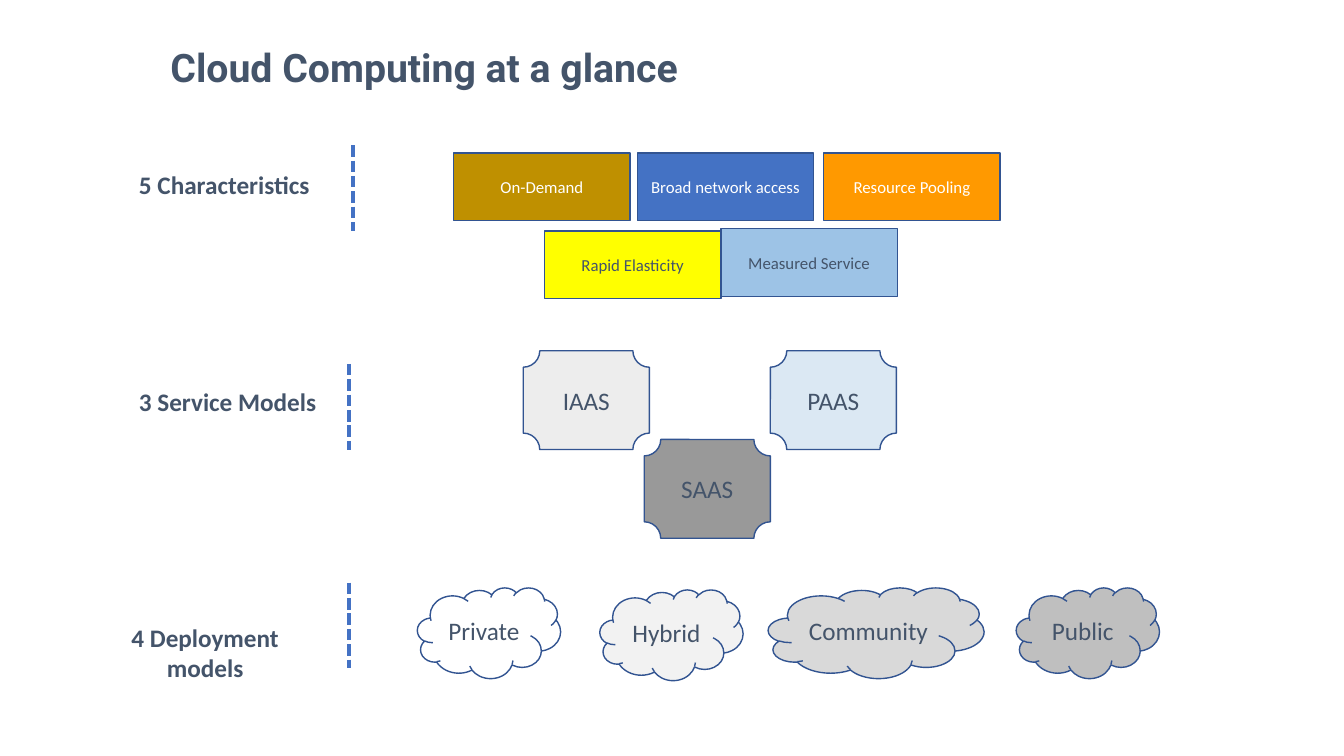
from lxml import etree
from pptx import Presentation
from pptx.dml.color import RGBColor
from pptx.enum.dml import MSO_LINE
from pptx.enum.shapes import MSO_CONNECTOR, MSO_SHAPE as SHAPE
from pptx.enum.text import MSO_ANCHOR as ANCHOR, MSO_AUTO_SIZE as AUTO, PP_ALIGN as ALIGN
from pptx.oxml.ns import qn
from pptx.util import Inches, Pt

SLATE, NAVY, BLUE, WHITE = "44546A", "325491", "4472C4", "FFFFFF"


def rgb(code):
    return RGBColor.from_string(code)


def write(tf, text, align, size, color=SLATE, name="Calibri", bold=False):
    """Fill a text frame, one paragraph for each line of text."""
    tf.text = text
    for p in tf.paragraphs:
        p.alignment = align
        for r in p.runs:
            for key, value in dict(size=Pt(size), name=name, bold=bold).items():
                setattr(r.font, key, value)
            r.font.color.rgb = rgb(color)


prs = Presentation()
prs.slide_width, prs.slide_height = Inches(13.33), Inches(7.5)
s = prs.slides.add_slide(prs.slide_layouts[5])

# Title
title = s.shapes.title
title.left, title.top, title.width, title.height = map(Inches, (1.69, 0.13, 10.13, 0.77))
tf = title.text_frame
frame_format = dict(margin_left=0, margin_top=0, margin_right=0, margin_bottom=0,
                    vertical_anchor=ANCHOR.BOTTOM, word_wrap=True, auto_size=AUTO.NONE)
for key, value in frame_format.items():
    setattr(tf, key, value)
write(tf, "Cloud Computing at a glance", ALIGN.LEFT, 28, name="Roboto", bold=True)
tf.paragraphs[0].line_spacing = 0.9

# Characteristics, service models and deployment models:
# preset, width, height, text size, then left, top, text, fill, text colour
groups = [
    (SHAPE.RECTANGLE, 1.75, 0.67, 12, [
        (4.5, 1.52, "On-Demand", "BF9000", WHITE),
        (6.32, 1.52, "Broad network access", BLUE, WHITE),
        (8.17, 1.52, "Resource Pooling", "FF9900", WHITE),
        (5.4, 2.29, "Rapid Elasticity", "FFFF00", SLATE),
        (7.15, 2.27, "Measured Service", "9DC3E6", SLATE)]),
    (SHAPE.PLAQUE, 1.25, 0.98, 18, [
        (5.19, 3.48, "IAAS", "EDEDED", SLATE),
        (6.39, 4.36, "SAAS", "999999", SLATE),
        (7.64, 3.48, "PAAS", "DBE8F3", SLATE)]),
    (SHAPE.CLOUD, 1.42, 0.9, 18, [
        (4.14, 5.83, "Private", WHITE, SLATE),
        (5.95, 5.85, "Hybrid", "F2F2F2", SLATE)]),
    (SHAPE.CLOUD, 2.14, 0.9, 18, [(7.62, 5.83, "Community", "D9D9D9", SLATE)]),
    (SHAPE.CLOUD, 1.42, 0.9, 18, [(10.08, 5.83, "Public", "BFBFBF", SLATE)]),
]
for preset, width, height, size, items in groups:
    for left, top, text, fill, color in items:
        sp = s.shapes.add_shape(preset, *map(Inches, (left, top, width, height)))
        sp.shadow.inherit = False
        sp.fill.solid()
        sp.fill.fore_color.rgb = rgb(fill)
        sp.line.color.rgb = rgb(NAVY)
        sp.line.width = Pt(1)
        sp.text_frame.vertical_anchor = ANCHOR.MIDDLE
        write(sp.text_frame, text, ALIGN.CENTER, size, color)

# Row labels, each with a dashed divider
rows = [
    ("5 Characteristics", 1.28, 1.63, 1.91, 0.4, ALIGN.LEFT, 3.5, 1.44),
    ("3 Service Models", 1.28, 3.78, 1.97, 0.4, ALIGN.LEFT, 3.46, 3.61),
    ("4 Deployment\nmodels", 1.2, 6.12, 1.67, 0.71, ALIGN.CENTER, 3.46, 5.78),
]
for text, left, top, width, height, align, x, y in rows:
    label = s.shapes.add_textbox(*map(Inches, (left, top, width, height)))
    label.text_frame.word_wrap = False
    label.text_frame.auto_size = AUTO.SHAPE_TO_FIT_TEXT
    write(label.text_frame, text, align, 18, bold=True)

    divider = s.shapes.add_connector(MSO_CONNECTOR.STRAIGHT, *map(Inches, (x, y, x, y + 0.85)))
    divider.line.color.rgb = rgb(BLUE)
    divider.line.width = Pt(2.75)
    divider.line.dash_style = MSO_LINE.SQUARE_DOT
    etree.SubElement(divider.element.spPr, qn("a:effectLst"))

prs.save("out.pptx")
